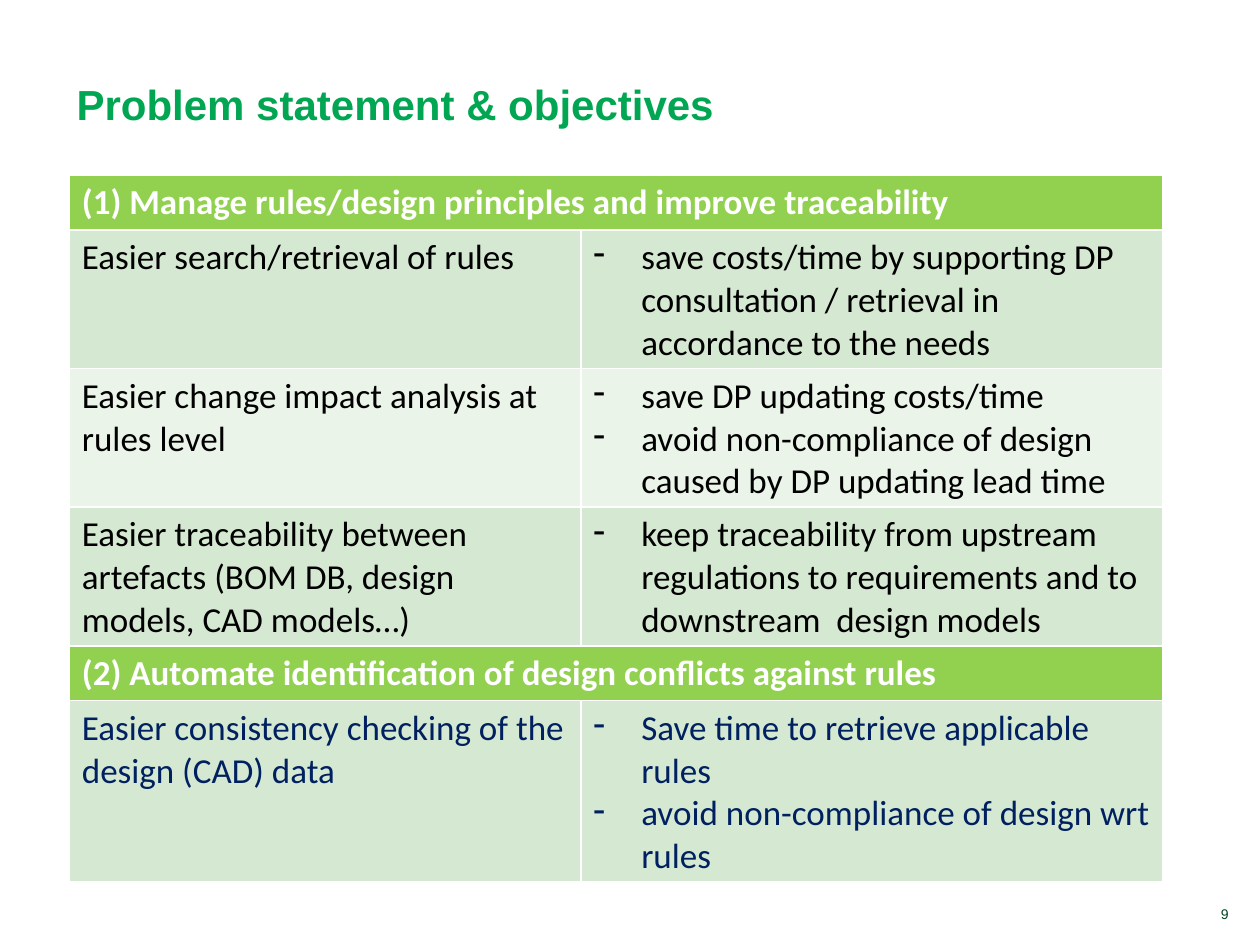
import lxml.etree
import pptx
import pptx.dml.color
import pptx.enum.text
import pptx.oxml.ns
import pptx.util

Inches = pptx.util.Inches
Align = pptx.enum.text.PP_ALIGN
Anchor = pptx.enum.text.MSO_ANCHOR

COLORS = {
    "title": "00A651", "page": "004621", "head": "92D050", "white": "FFFFFF",
    "dark": "D5E8D1", "light": "EBF4E9", "black": "000000", "navy": "002060",
}
TITLE = {"name": "Arial", "size": pptx.util.Pt(24), "bold": True}
PAGE = {"name": "Arial", "size": pptx.util.Pt(8), "bold": False}
HEAD = {"name": "Calibri", "size": pptx.util.Pt(20), "bold": True}
BODY = {**HEAD, "bold": False}

# Each row: fill, text colour, left text, list of points (None for a heading)
ROWS = [
    ("head", "white",
     "(1) Manage rules/design principles and improve traceability", None),
    ("dark", "black", "Easier search/retrieval of rules",
     ["save costs/time by supporting DP consultation / retrieval in "
      "accordance to the needs"]),
    ("light", "black", "Easier change impact analysis at rules level",
     ["save DP updating costs/time",
      "avoid non-compliance of design caused by DP updating lead time"]),
    ("dark", "black",
     "Easier traceability between artefacts (BOM DB, design models, CAD models…)",
     ["keep traceability from upstream regulations to requirements and to "
      "downstream  design models"]),
    ("head", "white",
     "(2) Automate identification of design conflicts against rules", None),
    ("dark", "navy", "Easier consistency checking of the design (CAD) data",
     ["Save time to retrieve applicable rules",
      "avoid non-compliance of design wrt rules"]),
]


def rgb(name):
    return pptx.dml.color.RGBColor.from_string(COLORS[name])


class Deck:
    def __init__(self):
        self.show = pptx.Presentation()
        self.show.slide_width = Inches(10)
        self.show.slide_height = Inches(7.5)
        self.slide = self.show.slides.add_slide(self.show.slide_layouts[6])

    def fill_par(self, par, text, style, color):
        run = par.add_run()
        run.text = text
        for key, value in style.items():
            setattr(run.font, key, value)
        run.font.color.rgb = rgb(color)

    def dash(self, par):
        """Give the paragraph a dash bullet with a hanging indent."""
        props = par._p.get_or_add_pPr()
        props.set("marL", str(Inches(0.38)))
        props.set("indent", str(-Inches(0.38)))
        mark = lxml.etree.SubElement(props, pptx.oxml.ns.qn("a:buChar"))
        mark.set("char", "-")

    def text(self, text, area, style, color, align=Align.LEFT):
        box = self.slide.shapes.add_textbox(*map(Inches, area))
        frame = box.text_frame
        frame.word_wrap = True
        frame.vertical_anchor = Anchor.BOTTOM
        par = frame.paragraphs[0]
        par.alignment = align
        self.fill_par(par, text, style, color)

    def table(self, rows, left, top, widths, height):
        """Draw the rows; the default table style gives the white borders."""
        table = self.slide.shapes.add_table(
            len(rows), len(widths), Inches(left), Inches(top),
            Inches(sum(widths)), Inches(height * len(rows))).table
        for col, width in zip(table.columns, widths):
            col.width = Inches(width)
        for index, (fill, color, label, points) in enumerate(rows):
            first, second = table.cell(index, 0), table.cell(index, 1)
            for cell in (first, second):
                cell.fill.solid()
                cell.fill.fore_color.rgb = rgb(fill)
            style = BODY if points else HEAD
            self.fill_par(first.text_frame.paragraphs[0], label, style, color)
            if not points:
                first.merge(second)
                continue
            frame = second.text_frame
            for place, point in enumerate(points):
                par = frame.add_paragraph() if place else frame.paragraphs[0]
                self.dash(par)
                self.fill_par(par, point, style, color)


def main():
    deck = Deck()
    deck.text("9", (8.54, 7.14, 1.31, 0.23), PAGE, "page", Align.RIGHT)
    deck.text("Problem statement & objectives", (0.51, 0.16, 6.81, 0.91),
              TITLE, "title")
    deck.table(ROWS, 0.55, 1.39, (4.06, 4.62), 0.41)
    deck.show.save("out.pptx")


if __name__ == "__main__":
    main()
